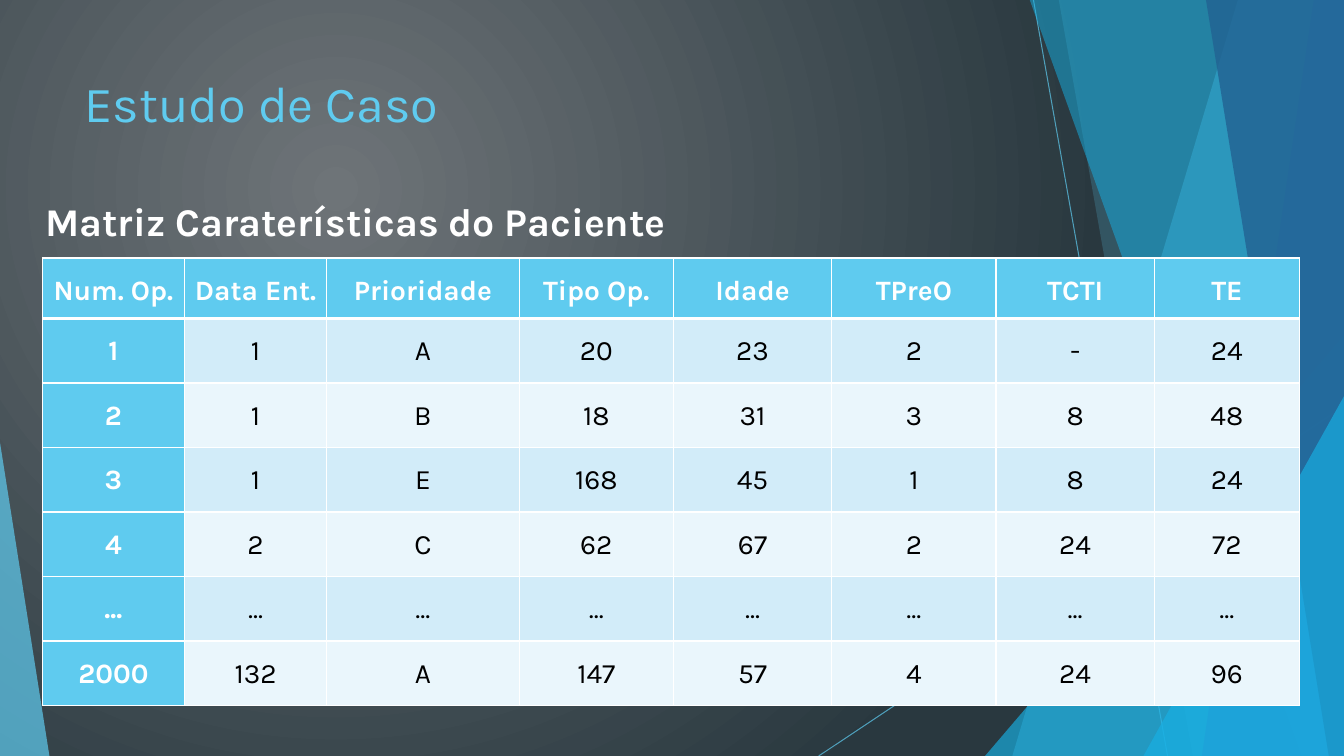
from dataclasses import dataclass

from lxml.etree import SubElement
from pptx import Presentation
from pptx.dml.color import RGBColor
from pptx.enum.shapes import MSO_CONNECTOR, MSO_SHAPE
from pptx.enum.text import PP_ALIGN
from pptx.oxml.ns import qn
from pptx.util import Inches, Pt

COLORS = {
    "sky": "5FCBEF", "azure": "17B0E4", "blue": "2E83C3", "navy": "226292",
    "bg_inner": "6E7478", "bg_outer": "29383F", "white": "FFFFFF",
    "black": "000000", "band_dark": "D2ECF9", "band_light": "EAF6FC",
}
FONT = "Karla"
TOP, RIGHT, BOTTOM = -0.01, 13.33, 7.5


@dataclass
class Ray:
    start: tuple[float, float]
    end: tuple[float, float]


@dataclass
class Band:
    """Band reaching the right edge, with a slanted left side."""
    top_x: float
    bottom_x: float
    color: str
    alpha: int


@dataclass
class Wedge:
    """Right triangle standing on the bottom edge."""
    left: float
    top: float
    width: float
    apex: float
    color: str
    alpha: int


DECOR = [
    Ray((10.25, 0), (11.58, 7.5)),
    Ray((13.33, 4.03), (8.12, 7.5)),
    Band(12.28, 10.04, "sky", 36),
    Band(10.5, 11.83, "sky", 20),
    Wedge(9.77, 3.33, 3.56, 1, "azure", 66),
    Band(10.21, 12.91, "azure", 50),
    Band(13.03, 11.92, "blue", 70),
    Band(11.96, 13.18, "navy", 80),
    Wedge(11.34, 3.93, 1.99, 1, "azure", 66),
    Wedge(0, 4.39, 0.49, 0, "sky", 70),
]

COL_WIDTHS = [1.41, 1.41, 1.91, 1.53, 1.57, 1.63, 1.57, 1.44]
HEADER_H, ROW_H = 0.6, 0.64
ROWS = [
    ["Num. Op.", "Data Ent.", "Prioridade", "Tipo Op.", "Idade", "TPreO", "TCTI", "TE"],
    ["1", "1", "A", "20", "23", "2", "-", "24"],
    ["2", "1", "B", "18", "31", "3", "8", "48"],
    ["3", "1", "E", "168", "45", "1", "8", "24"],
    ["4", "2", "C", "62", "67", "2", "24", "72"],
    ["..."] * 8,
    ["2000", "132", "A", "147", "57", "4", "24", "96"],
]


def rgb(name: str) -> RGBColor:
    return RGBColor.from_string(COLORS[name])


def set_alpha(element, alpha: int) -> None:
    for clr in element.iter(qn("a:srgbClr")):
        SubElement(clr, qn("a:alpha"), val=str(alpha * 1000))


def add_run(p, text: str, size: int, color: str, bold: bool = False) -> None:
    r = p.add_run()
    r.text = text
    r.font.name, r.font.size, r.font.bold = FONT, Pt(size), bold
    r.font.color.rgb = rgb(color)


def add_text(s, box: tuple, text: str, size: int, color: str,
             bold: bool = False, wrap: bool = True) -> None:
    tf = s.shapes.add_textbox(*map(Inches, box)).text_frame
    tf.word_wrap = wrap
    add_run(tf.paragraphs[0], text, size, color, bold)


def set_background(s) -> None:
    fill = s.background.fill
    fill.gradient()
    for stop, name in zip(fill.gradient_stops, ("bg_inner", "bg_outer")):
        stop.color.rgb = rgb(name)
    grad = s.element.find(".//" + qn("a:gradFill"))
    grad.remove(grad.find(qn("a:lin")))
    circle = SubElement(grad, qn("a:path"), path="circle")
    SubElement(circle, qn("a:fillToRect"), l="50000", t="50000", r="100000", b="100000")


def add_ray(s, ray: Ray) -> None:
    line = s.shapes.add_connector(MSO_CONNECTOR.STRAIGHT, *map(Inches, ray.start + ray.end))
    line.line.color.rgb = rgb("sky")
    line.line.width = Pt(0.75)
    sp_pr = line.element.spPr
    set_alpha(sp_pr, 70)
    SubElement(sp_pr, qn("a:effectLst"))


def add_facet(s, facet: Band | Wedge) -> None:
    if isinstance(facet, Band):
        builder = s.shapes.build_freeform(Inches(facet.top_x), Inches(TOP))
        corners = [(RIGHT, TOP), (RIGHT, BOTTOM), (facet.bottom_x, BOTTOM)]
        builder.add_line_segments([(Inches(x), Inches(y)) for x, y in corners])
        sp = builder.convert_to_shape()
    else:
        box = (facet.left, facet.top, facet.width, BOTTOM - facet.top)
        sp = s.shapes.add_shape(MSO_SHAPE.ISOSCELES_TRIANGLE, *map(Inches, box))
        sp.adjustments[0] = facet.apex
    sp.shadow.inherit = False
    sp.line.fill.background()
    sp.fill.solid()
    sp.fill.fore_color.rgb = rgb(facet.color)
    set_alpha(sp.element.spPr, facet.alpha)


def set_borders(cell, row: int) -> None:
    # The rule under the header is thicker than the rest
    widths = {"L": 1, "R": 1, "T": 3 if row == 1 else 1, "B": 3 if row == 0 else 1}
    tc_pr = cell._tc.get_or_add_tcPr()
    for side, width in widths.items():
        ln = SubElement(tc_pr, qn(f"a:ln{side}"), w=str(Pt(width)))
        SubElement(SubElement(ln, qn("a:solidFill")), qn("a:srgbClr"), val=COLORS["white"])


def add_patient_table(s) -> None:
    heights = [HEADER_H] + [ROW_H] * (len(ROWS) - 1)
    box = (0.42, 2.56, sum(COL_WIDTHS), sum(heights))
    table = s.shapes.add_table(len(ROWS), len(COL_WIDTHS), *map(Inches, box)).table
    for col, width in zip(table.columns, COL_WIDTHS):
        col.width = Inches(width)
    for row, height in zip(table.rows, heights):
        row.height = Inches(height)
    for i, values in enumerate(ROWS):
        for j, value in enumerate(values):
            cell = table.cell(i, j)
            is_head = i == 0 or j == 0
            set_borders(cell, i)
            cell.fill.solid()
            band = "band_dark" if i % 2 else "band_light"
            cell.fill.fore_color.rgb = rgb("sky" if is_head else band)
            cell.margin_left = cell.margin_right = Inches(0.07)
            cell.margin_top = cell.margin_bottom = 0
            p = cell.text_frame.paragraphs[0]
            p.alignment, p.line_spacing = PP_ALIGN.CENTER, 1.5
            add_run(p, value, 20, "white" if is_head else "black", is_head)


def main() -> None:
    prs = Presentation()
    prs.slide_width, prs.slide_height = Inches(13.33), Inches(7.5)
    s = prs.slides.add_slide(prs.slide_layouts[6])

    # Background and facets
    set_background(s)
    for item in DECOR:
        if isinstance(item, Ray):
            add_ray(s, item)
        else:
            add_facet(s, item)

    # Title, table and its heading
    add_text(s, (0.74, 0.67, 9.4, 1.44), "Estudo de Caso", 36, "sky")
    add_patient_table(s)
    add_text(s, (0.35, 1.91, 6.35, 0.57), "Matriz Caraterísticas do Paciente",
             28, "white", bold=True, wrap=False)

    prs.save("out.pptx")


if __name__ == "__main__":
    main()
